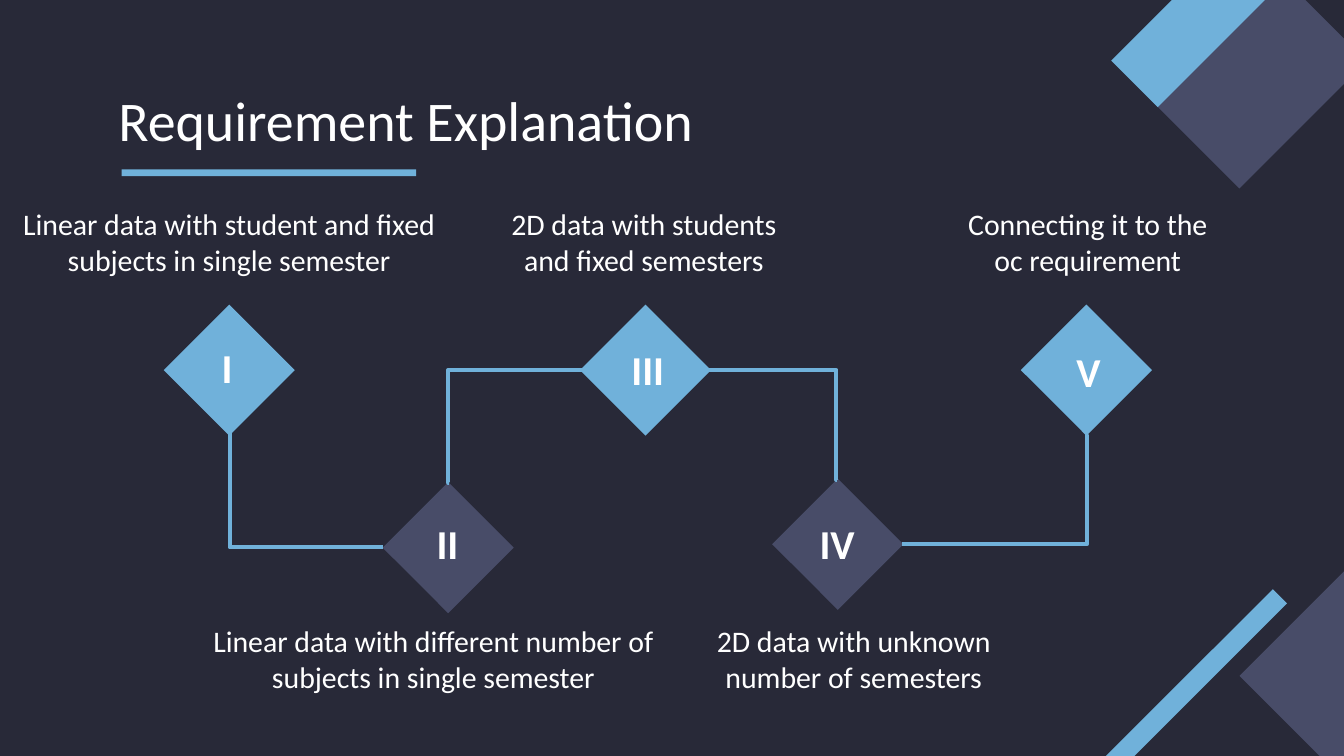
from pptx import Presentation
from pptx.dml.color import RGBColor
from pptx.enum.shapes import MSO_CONNECTOR as Connector, MSO_SHAPE as Shape
from pptx.enum.text import MSO_ANCHOR as Anchor, MSO_AUTO_SIZE as AutoSize, PP_ALIGN as Align
from pptx.oxml.ns import qn
from pptx.util import Pt
from lxml.etree import SubElement

COLORS = {"background": "282938", "blue": "70B1DA", "slate": "484C68", "white": "FFFFFF"}
FONT = "Calibri"
DIAMOND = 49.7
LABEL_TOPS = {"upper": 103, "lower": 326.2}

TITLE = "Requirement Explanation"
TITLE_BOX = (56.2, 42.5, 607.7, 42.5)

DECORATIONS = [
    ("slate", (684, 313.9, 96.5, 96.5), 45),
    ("slate", (640.8, -5, 67, 96.5), 45),
    ("blue", (624.2, -37.4, 35.3, 96.5), 45),
    ("blue", (625, 296.6, 10.8, 156.2), 45),
    ("blue", (142.2, 13.7, 3.6, 157.7), 90),
]

STEPS = [
    {"numeral": "I", "numeral_box": (111.6, 176.4, 20.2, 33.8), "center": (122.8, 198.3),
     "color": "blue", "row": "upper", "label_x": 122.8, "label_width": 236,
     "label": "Linear data with student and fixed subjects in single semester"},
    {"numeral": "II", "numeral_box": (226.8, 270.7, 42.5, 33.8), "center": (240.1, 293.4),
     "color": "slate", "row": "lower", "label_x": 232.2, "label_width": 255.6,
     "label": "Linear data with different number of subjects in single semester"},
    {"numeral": "III", "numeral_box": (331.2, 177.1, 33.8, 32.4), "center": (345.8, 198.3),
     "color": "blue", "row": "upper", "label_x": 345, "label_width": 172,
     "label": "2D data with students and fixed semesters"},
    {"numeral": "IV", "numeral_box": (432, 270.7, 41, 33.8), "center": (448.8, 291.6),
     "color": "slate", "row": "lower", "label_x": 457.4, "label_width": 202.3,
     "label": "2D data with unknown number of semesters"},
    {"numeral": "V", "numeral_box": (569.5, 178.6, 41, 33.8), "center": (582, 198.3),
     "color": "blue", "row": "upper", "label_x": 582.8, "label_width": 144,
     "label": "Connecting it to the oc requirement"},
]

LINKS = [
    ((205.2, 293.3), (122.6, 231.1), 99400),
    ((320.4, 198.2), (240.4, 258.5), 100300),
    ((365.8, 198.2), (448.4, 257), 99600),
    ((581.2, 233.3), (483.1, 291.6), -1000),
]


def color(name):
    return RGBColor.from_string(COLORS[name])


def points(values):
    return [Pt(value) for value in values]


def add_block(slide, fill, box, rotation):
    shape = slide.shapes.add_shape(Shape.RECTANGLE, *points(box))
    shape.rotation = rotation
    shape.shadow.inherit = False
    shape.fill.solid()
    shape.fill.fore_color.rgb = color(fill)
    shape.line.fill.background()


def add_link(slide, start, end, bend):
    connector = slide.shapes.add_connector(Connector.ELBOW, *points(start + end))
    connector.line.color.rgb = color("blue")
    connector.line.width = Pt(2.25)
    properties = connector._element.spPr
    SubElement(properties, qn("a:effectLst"))
    adjustments = properties.find(qn("a:prstGeom")).get_or_add_avLst()
    SubElement(adjustments, qn("a:gd"), name="adj1", fmla=f"val {bend}")


def write(shape, text, size, align, anchor=Anchor.TOP, bold=False):
    frame = shape.text_frame
    frame.word_wrap = True
    frame.auto_size = AutoSize.NONE
    frame.vertical_anchor = anchor
    frame.margin_left = frame.margin_top = frame.margin_right = frame.margin_bottom = Pt(7.2)
    paragraph = frame.paragraphs[0]
    paragraph.alignment = align
    run = paragraph.add_run()
    run.text = text
    run.font.name = FONT
    run.font.size = Pt(size)
    run.font.bold = bold
    run.font.color.rgb = color("white")


def main():
    """Build the requirement explanation slide."""
    presentation = Presentation()
    presentation.slide_width, presentation.slide_height = points((720, 405))
    slide = presentation.slides.add_slide(presentation.slide_layouts[5])
    slide.background.fill.solid()
    slide.background.fill.fore_color.rgb = color("background")

    title = slide.shapes.title
    title.left, title.top, title.width, title.height = points(TITLE_BOX)
    write(title, TITLE, 30, Align.LEFT, Anchor.MIDDLE)

    for decoration in DECORATIONS:
        add_block(slide, *decoration)
    for step in STEPS:
        x, y = step["center"]
        add_block(slide, step["color"], (x - DIAMOND / 2, y - DIAMOND / 2, DIAMOND, DIAMOND), 45)
    for link in LINKS:
        add_link(slide, *link)
    for step in STEPS:
        numeral = slide.shapes.add_textbox(*points(step["numeral_box"]))
        write(numeral, step["numeral"], 22, Align.LEFT, bold=True)
        width = step["label_width"]
        label_box = (step["label_x"] - width / 2, LABEL_TOPS[step["row"]], width, 57)
        write(slide.shapes.add_textbox(*points(label_box)), step["label"], 16, Align.CENTER)

    presentation.save("out.pptx")


if __name__ == "__main__":
    main()
